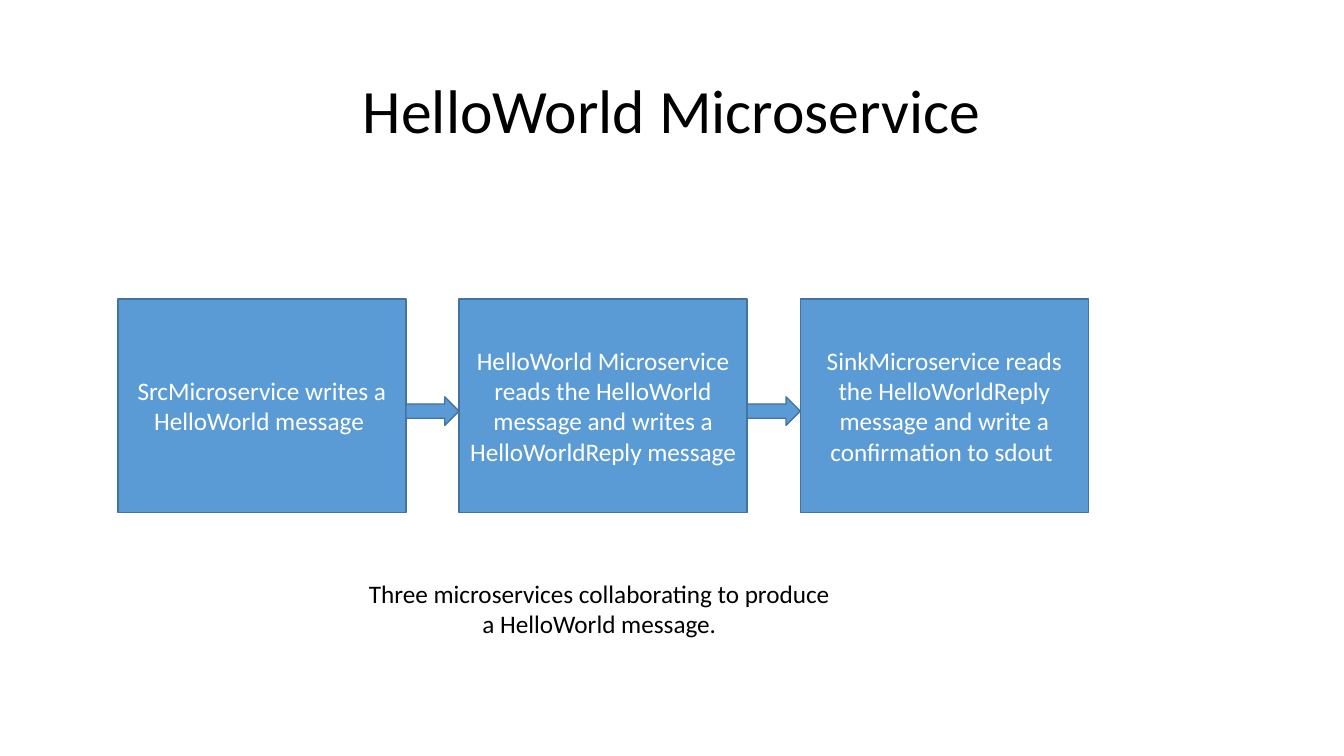
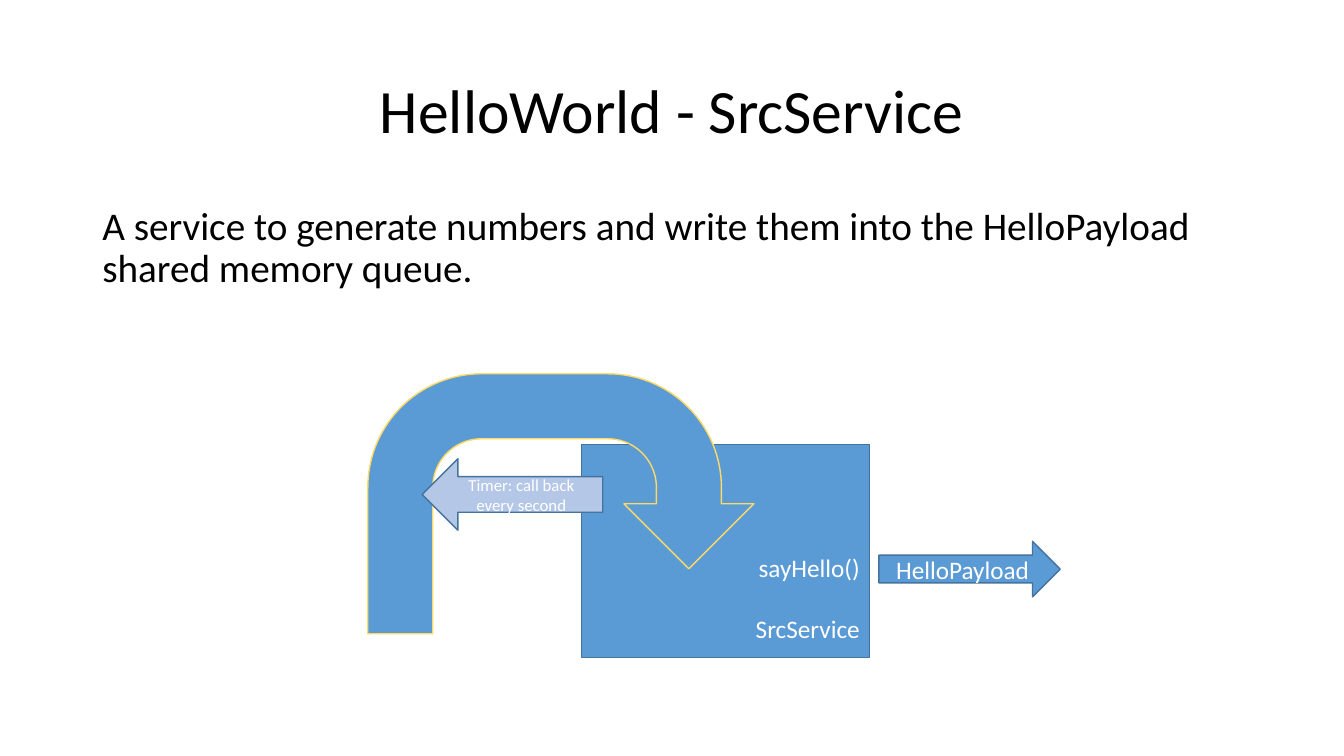
from pptx import Presentation
from pptx import util as u
from pptx.dml import color
from pptx.enum import shapes, text

KIND = shapes.MSO_SHAPE
ALIGN = text.PP_ALIGN
ANCHOR = text.MSO_ANCHOR


def rgb(value):
    return color.RGBColor.from_string(value)


class Board:
    FONT = "Calibri"
    INK = "000000"
    WHITE = "FFFFFF"
    BLUE = "5B9BD5"
    EDGE = "43739E"
    PALE = "B4C7E7"
    GOLD = "FFD966"

    def __init__(self):
        self.deck = Presentation()
        self.deck.slide_width = u.Cm(33.87)
        self.deck.slide_height = u.Cm(19.05)
        self.page = None

    def new_page(self, title):
        self.page = self.deck.slides.add_slide(self.deck.slide_layouts[6])
        self.label(title, (2.33, 1.01, 29.21, 3.68), 44, anchor=ANCHOR.MIDDLE, spacing=0.9)

    def set_words(self, box, words, size, ink, align, anchor, spacing=None, before=None):
        frame = box.text_frame
        frame.word_wrap = True
        frame.vertical_anchor = anchor
        frame.text = words
        for para in frame.paragraphs:
            para.alignment = align
            para.line_spacing = spacing
            para.space_before = before
            for span in para.runs:
                span.font.name = self.FONT
                span.font.size = u.Pt(size)
                span.font.color.rgb = rgb(ink)

    def label(self, words, place, size, align=ALIGN.CENTER, anchor=ANCHOR.TOP,
              spacing=None, before=None):
        box = self.page.shapes.add_textbox(*map(u.Cm, place))
        self.set_words(box, words, size, self.INK, align, anchor, spacing, before)

    def shape(self, kind, place, words="", size=18, fill=BLUE, edge=EDGE,
              align=ALIGN.CENTER, anchor=ANCHOR.MIDDLE, before=None):
        box = self.page.shapes.add_shape(kind, *map(u.Cm, place))
        box.shadow.inherit = False
        box.fill.solid()
        box.fill.fore_color.rgb = rgb(fill)
        box.line.color.rgb = rgb(edge)
        box.line.width = u.Pt(1)
        if words:
            self.set_words(box, words, size, self.WHITE, align, anchor, before=before)
        return box


BOX_WIDTH, BOX_HEIGHT = 7.26, 5.37
FLOW_LEFT, FLOW_TOP, FLOW_STEP = 2.97, 7.54, 8.6

board = Board()

board.new_page("HelloWorld Microservice")
services = [
    "SrcMicroservice writes a HelloWorld message ",
    "HelloWorld Microservice reads the HelloWorld message and writes a HelloWorldReply message ",
    "SinkMicroservice reads the HelloWorldReply message and write a confirmation to sdout ",
]
lefts = [FLOW_LEFT + FLOW_STEP * index for index in range(len(services))]
for left, words in zip(lefts, services):
    board.shape(KIND.RECTANGLE, (left, FLOW_TOP, BOX_WIDTH, BOX_HEIGHT), words)
for left in lefts[:-1]:
    board.shape(KIND.RIGHT_ARROW, (left + BOX_WIDTH, 10, FLOW_STEP - BOX_WIDTH, 0.72))
board.label("Three microservices collaborating to produce a HelloWorld message.",
            (8.97, 14.45, 12.27, 1.8), 18)

board.new_page("HelloWorld - SrcService")
board.label("A service to generate numbers and write them into the HelloPayload shared memory queue.",
            (2.33, 5.08, 29.62, 12.09), 28, align=ALIGN.LEFT, spacing=0.9, before=u.Pt(10))
service = board.shape(KIND.RECTANGLE, (14.66, 11.2, BOX_WIDTH, BOX_HEIGHT),
                      "sayHello()\nSrcService", align=ALIGN.RIGHT,
                      anchor=ANCHOR.BOTTOM, before=u.Pt(22))
service.text_frame.margin_bottom = u.Cm(0.36)
board.shape(KIND.U_TURN_ARROW, (9.27, 9.42, 9.73, 6.55), edge=board.GOLD)
board.shape(KIND.LEFT_ARROW, (10.64, 11.56, 4.55, 1.8), "Timer: call back every second",
            size=12, fill=board.PALE)
board.shape(KIND.RIGHT_ARROW, (22.15, 13.64, 4.57, 1.4), "HelloPayload")

board.deck.save("out.pptx")
